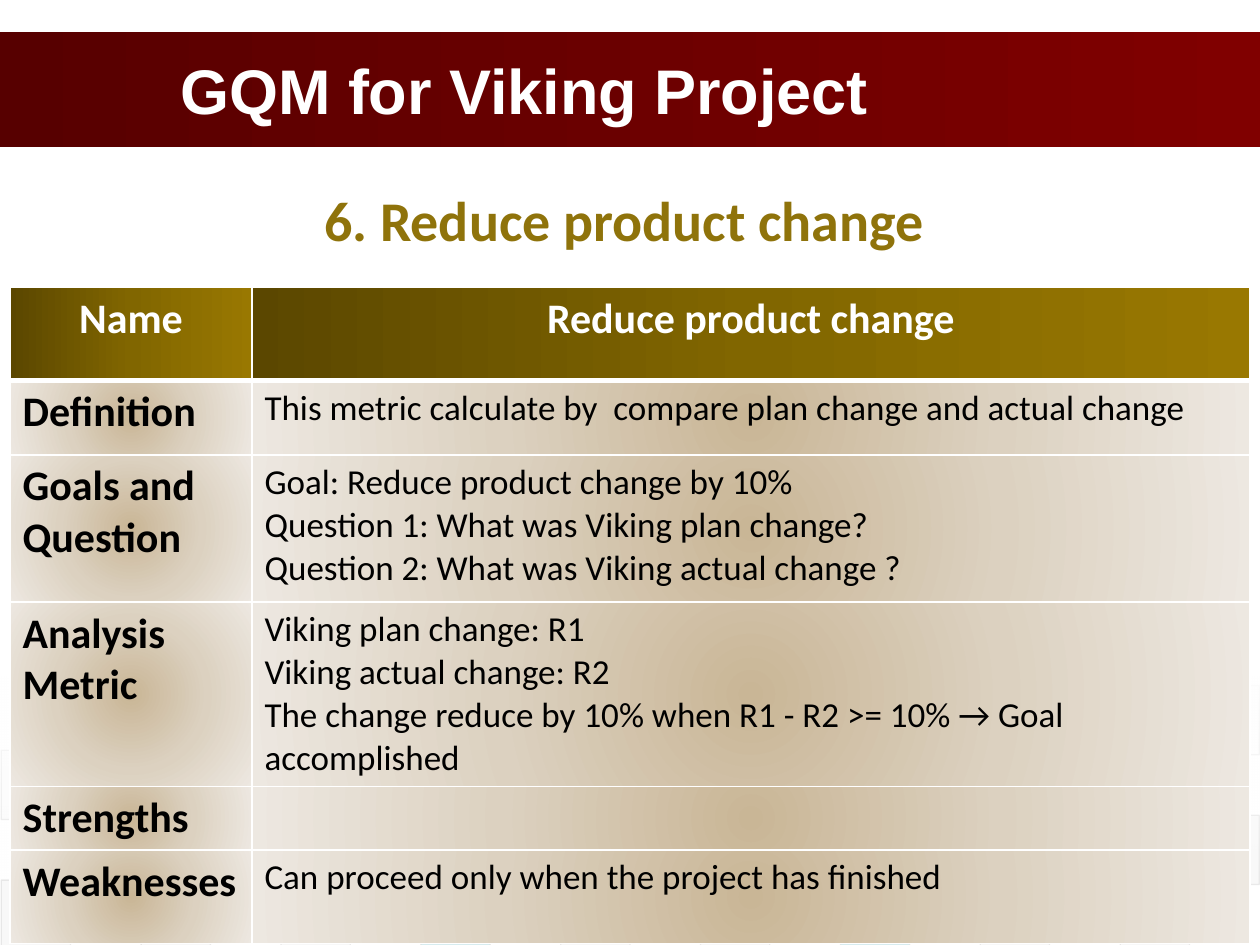
from pptx import Presentation
from pptx.dml.color import RGBColor
from pptx.enum.shapes import MSO_SHAPE
from pptx.enum.text import MSO_ANCHOR, MSO_AUTO_SIZE, PP_ALIGN
from pptx.oxml import parse_xml
from pptx.oxml.ns import nsdecls, qn
from pptx.util import Inches, Pt

COLORS = {
    "white": "FFFFFF", "black": "000000", "heading": "8F730B",
    "banner_dark": "570000", "banner": "800000",
    "gold": "D3A911", "teal": "38A3B2", "pale": "EAEAEA", "gray": "DDDDDD",
    "head_dark": "5B4700", "head_mid": "816600", "head": "997801",
    "cell_core": "C9B696", "cell_mid": "DCD1C0", "cell_edge": "EDE8E1",
}
HEADER_STOPS = [(0, "head_dark", 100), (50, "head_mid", 100), (100, "head", 100)]
CELL_STOPS = [(0, "cell_core", 100), (50, "cell_mid", 100), (100, "cell_edge", 100)]
TILE_COLORS = {
    (0, 1): "teal", (0, 3): "pale", (0, 5): "pale", (0, 7): "teal",
    (0, 11): "teal", (0, 13): "pale", (0, 15): "gold", (0, 17): "pale",
    (1, 8): "gold", (1, 16): "teal", (2, 3): "gold", (2, 13): "gold",
    (3, 6): "teal", (3, 12): "teal",
}
TILE_OPACITY = [5, 10, 20, 20]
ROWS = [
    (0.74, "Name", "Reduce product change"),
    (0.59, "Definition", "This metric calculate by  compare plan change and actual change"),
    (1.17, "Goals and Question",
     "Goal: Reduce product change by 10%\n"
     "Question 1: What was Viking plan change?\n"
     "Question 2: What was Viking actual change ?"),
    (1.31, "Analysis Metric",
     "Viking plan change: R1\n"
     "Viking actual change: R2\n"
     "The change reduce by 10% when R1 - R2 >= 10% → Goal accomplished"),
    (0.46, "Strengths", ""),
    (0.74, "Weaknesses", "Can proceed only when the project has finished"),
]


class SlideBuilder:
    """Holds the style and the current slide, and adds each kind of element."""

    def __init__(self, page):
        self.page = page
        self.font = "Calibri"

    def color(self, name):
        return RGBColor.from_string(COLORS[name])

    def gradient(self, stops, angle=0, radial=False):
        marks = "".join(
            f'<a:gs pos="{place * 1000}"><a:srgbClr val="{COLORS[name]}">'
            f'<a:alpha val="{opacity * 1000}"/></a:srgbClr></a:gs>'
            for place, name, opacity in stops)
        course = f'<a:lin ang="{angle * 60000}" scaled="0"/>'
        if radial:
            course = ('<a:path path="circle"><a:fillToRect l="50000" t="50000" '
                      'r="50000" b="50000"/></a:path>')
        return parse_xml(f'<a:gradFill {nsdecls("a")} rotWithShape="1">'
                         f'<a:gsLst>{marks}</a:gsLst>{course}</a:gradFill>')

    def rectangle(self, left, top, width, height):
        box = self.page.shapes.add_shape(
            MSO_SHAPE.RECTANGLE, Inches(left), Inches(top), Inches(width), Inches(height))
        box.shadow.inherit = False
        box.line.fill.background()
        return box

    def band(self, left, top, width, height, stops, angle=0):
        box = self.rectangle(left, top, width, height)
        outline = box._element.spPr.find(qn("a:ln"))
        outline.addprevious(self.gradient(stops, angle))

    def tile(self, left, top, size, name, opacity):
        box = self.rectangle(left, top, size, size)
        box.line.width = Pt(0.75)
        for paint, shade, percent in ((box.fill, name, opacity), (box.line.fill, "gray", 60)):
            paint.solid()
            paint.fore_color.rgb = self.color(shade)
        for choice, percent in zip(box._element.spPr.iter(qn("a:srgbClr")), (opacity, 60)):
            choice.append(parse_xml(f'<a:alpha {nsdecls("a")} val="{percent * 1000}"/>'))

    def style(self, para, size, name, bold=False, align=PP_ALIGN.LEFT, font=None):
        para.alignment = align
        para.font.name = font or self.font
        para.font.size = Pt(size)
        para.font.bold = bold
        para.font.color.rgb = self.color(name)

    def placeholder(self, box, text, left, top, width, height, anchor):
        box.left, box.top = Inches(left), Inches(top)
        box.width, box.height = Inches(width), Inches(height)
        frame = box.text_frame
        frame.text = text
        frame.auto_size = MSO_AUTO_SIZE.NONE
        frame.vertical_anchor = anchor
        self.page.shapes._spTree.append(box._element)
        return frame.paragraphs[0]

    def title(self, text):
        para = self.placeholder(self.page.shapes.title, text,
                                1.33, 0.25, 8.08, 0.92, MSO_ANCHOR.MIDDLE)
        self.style(para, 36, "white", bold=True, font="Arial")

    def subtitle(self, text):
        para = self.placeholder(self.page.placeholders[1], text,
                                1.58, 1.42, 6.75, 0.58, MSO_ANCHOR.TOP)
        self.style(para, 32, "heading", bold=True, align=PP_ALIGN.CENTER)
        properties = para._p.get_or_add_pPr()
        properties.set("marL", "0")
        properties.set("indent", "0")
        properties.find(qn("a:defRPr")).addprevious(
            parse_xml(f'<a:buNone {nsdecls("a")}/>'))

    def cell(self, cell, text, is_header, is_label):
        cell.text = text
        for para in cell.text_frame.paragraphs:
            self.style(para, 24 if is_header or is_label else 20,
                       "white" if is_header else "black",
                       bold=is_header or is_label,
                       align=PP_ALIGN.CENTER if is_header else PP_ALIGN.LEFT)
        properties = cell._tc.get_or_add_tcPr()
        for side in "LRTB":
            width = Pt(3 if is_header and side == "B" else 1)
            properties.append(parse_xml(
                f'<a:ln{side} {nsdecls("a")} w="{width}"><a:solidFill>'
                f'<a:srgbClr val="{COLORS["white"]}"/></a:solidFill></a:ln{side}>'))
        properties.append(self.gradient(HEADER_STOPS if is_header else CELL_STOPS,
                                        radial=not is_header))

    def table(self, rows, left, top, widths):
        height = sum(row[0] for row in rows)
        grid = self.page.shapes.add_table(
            len(rows), len(widths), Inches(left), Inches(top),
            Inches(sum(widths)), Inches(height)).table
        for column, width in zip(grid.columns, widths):
            column.width = Inches(width)
        for index, (height, *texts) in enumerate(rows):
            grid.rows[index].height = Inches(height)
            for position, text in enumerate(texts):
                self.cell(grid.cell(index, position), text, index == 0, position == 0)


def main():
    deck = Presentation()
    deck.slide_width, deck.slide_height = Inches(10), Inches(7.5)
    builder = SlideBuilder(deck.slides.add_slide(deck.slide_layouts[1]))
    builder.band(0, 0.25, 10, 0.92, [(0, "banner_dark", 100), (100, "banner", 100)])
    for row, opacity in enumerate(TILE_OPACITY):
        for column in range((row + 1) % 2, 18, 2):
            builder.tile(0.01 + 0.555 * column, 5.44 + 0.515 * row, 0.55,
                         TILE_COLORS.get((row, column), "gray"), opacity)
    builder.band(0, 5.37, 10, 1.62, [(0, "white", 90), (100, "white", 0)], angle=90)
    builder.title("GQM for Viking Project")
    builder.subtitle("6. Reduce product change")
    builder.table(ROWS, 0.08, 2.28, [1.92, 7.92])
    deck.save("out.pptx")


if __name__ == "__main__":
    main()
